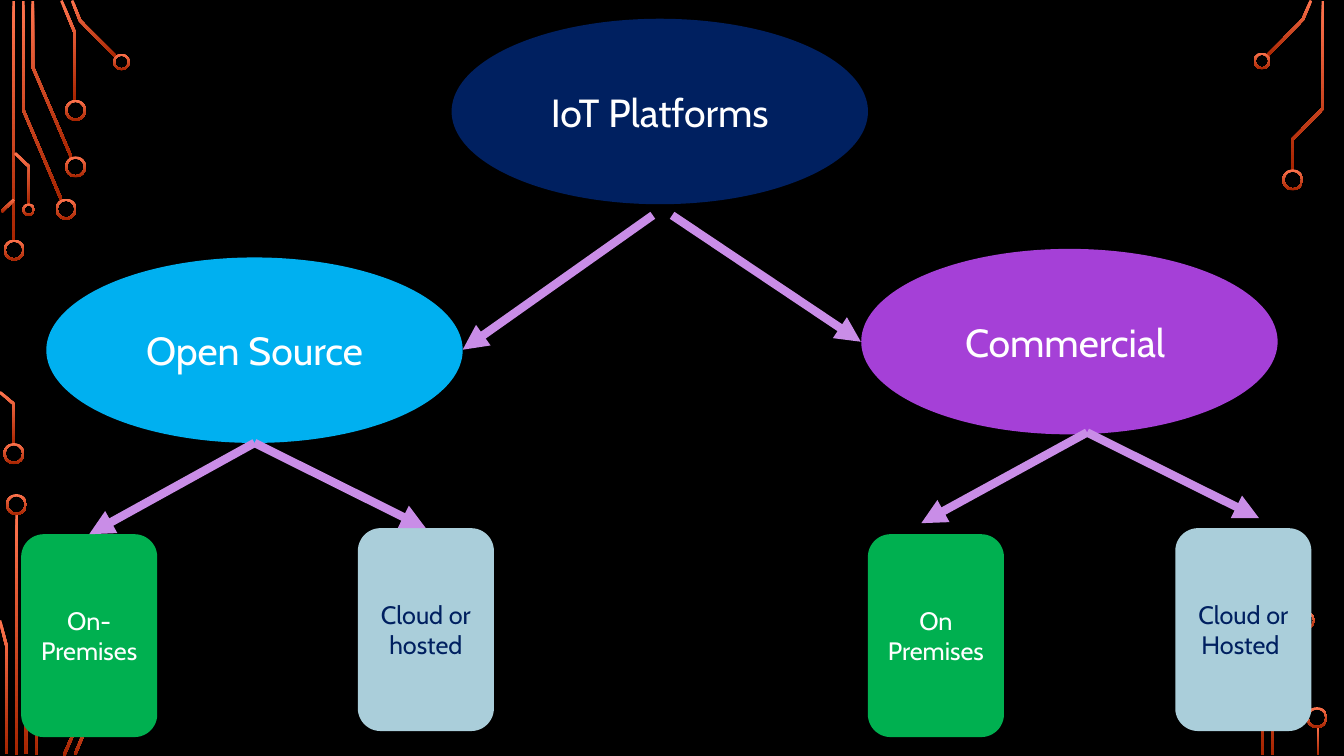
from math import hypot

from lxml.etree import SubElement
from pptx import Presentation
from pptx.dml.color import RGBColor
from pptx.enum.shapes import MSO_CONNECTOR, MSO_SHAPE
from pptx.enum.text import MSO_ANCHOR, PP_ALIGN
from pptx.oxml.ns import qn
from pptx.util import Pt

SLIDE_BOX = (0, 0, 960, 540)
OVAL_SIZE = (297.4, 132.5)
LEAF_SIZE = (97.2, 144.9)
TRACE_WIDTH = 1.9

OVAL = {"kind": MSO_SHAPE.OVAL, "size": 28, "ink": "FFFFFF"}
GREEN_LEAF = {"kind": MSO_SHAPE.ROUNDED_RECTANGLE, "size": 18, "ink": "FFFFFF", "fill": "00B050"}
PALE_LEAF = {"kind": MSO_SHAPE.ROUNDED_RECTANGLE, "size": 18, "ink": "002060", "fill": "AACEDA"}

TRACES = [
    [(9.7, 0.7), (9.7, 172.8)],
    [(16.6, 0.7), (16.6, 78.5), (43.9, 142.9)],
    [(23.4, 0.7), (23.4, 47.9), (51.1, 112.7)],
    [(43.9, 0.4), (53.6, 23.8), (53.6, 72)],
    [(51.5, 0.4), (57.2, 14.8), (83.2, 41)],
    [(1.1, 151.2), (10.1, 142.6)],
    [(0, 280.1), (10.1, 288.7), (10.1, 317.5)],
    [(10.8, 109.4), (20.9, 119.2), (20.9, 146.2)],
    [(11.9, 367.2), (11.9, 539.3)],
    [(18.4, 538.6), (18.4, 461.2), (45.7, 397.1)],
    [(0, 443.2), (4.7, 461.5), (4.7, 538.6)],
    [(25.6, 539.3), (25.6, 491.4), (52.9, 427.3)],
    [(45.7, 539.6), (55.8, 516.2), (55.8, 468)],
    [(53.6, 538.9), (59.4, 524.9), (85, 499)],
    [(905, 40), (930.6, 14), (936.4, 0.4)],
    [(909, 539.3), (909, 499.3), (931, 448.9)],
    [(923, 121.7), (923, 99.7), (945, 77.4), (945, 0.7)],
    [(901.8, 539.3), (901.8, 441.7), (924.1, 420.1), (924.1, 397.4)],
    [(941.4, 519.1), (941.4, 539.3)],
]
RINGS = [
    (10.1, 178.6, 15), (9.9, 324, 15), (47.2, 149.4, 15), (54, 119.2, 15),
    (54, 78.8, 15), (86.8, 44.3, 12), (20.5, 149.8, 9), (11.7, 360.4, 15),
    (901.4, 43.6, 12), (923.4, 128.5, 15), (933.5, 443.2, 12), (940.7, 512.6, 15),
]


def color(value):
    return RGBColor.from_string(value)


def paint_copper(shape):
    shape.shadow.inherit = False
    shape.line.fill.background()
    shape.fill.gradient()
    shape.fill.gradient_angle = 270
    for stop, value in zip(shape.fill.gradient_stops, ("FF744E", "A62400")):
        stop.color.rgb = color(value)


def ribbon_outline(points):
    normals = []
    for (x1, y1), (x2, y2) in zip(points, points[1:]):
        length = hypot(x2 - x1, y2 - y1)
        normals.append(((y1 - y2) / length, (x2 - x1) / length))
    left, right = [], []
    for (x, y), before, after in zip(points, normals[:1] + normals, normals + normals[-1:]):
        scale = TRACE_WIDTH / 2 / (1 + before[0] * after[0] + before[1] * after[1])
        dx, dy = (before[0] + after[0]) * scale, (before[1] + after[1]) * scale
        left.append((x + dx, y + dy))
        right.append((x - dx, y - dy))
    return left + right[::-1]


def add_circuit(page, box):
    left, top = box[:2]
    for trace in TRACES:
        outline = [(Pt(left + x), Pt(top + y)) for x, y in ribbon_outline(trace)]
        builder = page.shapes.build_freeform(*outline[0])
        builder.add_line_segments(outline[1:], close=True)
        paint_copper(builder.convert_to_shape())
    for x, y, size in RINGS:
        ring = page.shapes.add_shape(
            MSO_SHAPE.DONUT, Pt(left + x - size / 2), Pt(top + y - size / 2), Pt(size), Pt(size))
        ring.adjustments[0] = 1.5 / size
        paint_copper(ring)


def add_node(page, box, text, style):
    node = page.shapes.add_shape(style["kind"], *map(Pt, box))
    node.shadow.inherit = False
    node.line.fill.background()
    node.fill.solid()
    node.fill.fore_color.rgb = color(style["fill"])
    frame = node.text_frame
    frame.word_wrap = True
    frame.vertical_anchor = MSO_ANCHOR.MIDDLE
    para = frame.paragraphs[0]
    para.alignment = PP_ALIGN.CENTER
    span = para.add_run()
    span.text = text
    for name, value in {"name": "Cabin", "size": Pt(style["size"])}.items():
        setattr(span.font, name, value)
    span.font.color.rgb = color(style["ink"])
    return node


def add_arrow(page, start, end, target=None):
    arrow = page.shapes.add_connector(MSO_CONNECTOR.STRAIGHT, *map(Pt, start + end))
    if target is not None:
        arrow.end_connect(target, 0)
    arrow.line.width = Pt(6)
    arrow.line.color.rgb = color("C98DE7")
    SubElement(arrow.line._get_or_add_ln(), qn("a:tailEnd"), type="triangle")
    SubElement(arrow._element.spPr, qn("a:effectLst"))


def add_root(page, box):
    left, top, width, height = box
    add_node(page, box, "IoT Platforms", OVAL | {"fill": "002060"})
    arrow_top = top + height + 7.9
    middle = left + width / 2
    add_arrow(page, (middle - 5, arrow_top), (330.5, 249.8))
    add_arrow(page, (middle + 8.8, arrow_top), (614.9, 244.1))


def add_branch(page, box, title, fill, leaves, fork, joined, tips=()):
    left, top = box[:2]
    add_node(page, box, title, OVAL | {"fill": fill})
    nodes = [
        add_node(page, (left + x, top + y, *LEAF_SIZE), text, style)
        for x, y, text, style in leaves
    ]
    start = (left + fork[0], top + fork[1])
    for node, (x, y) in zip(nodes, tips):
        add_arrow(page, start, (left + x, top + y), node if joined else None)


def build_platform_slide(deck):
    page = deck.slides.add_slide(deck.slide_layouts[6])
    page.background.fill.solid()
    page.background.fill.fore_color.rgb = color("000000")
    add_circuit(page, SLIDE_BOX)
    add_root(page, (322.6, 13.4, *OVAL_SIZE))
    add_branch(
        page, (33.1, 183.9, *OVAL_SIZE), "Open Source", "00B0F0",
        [(-18, 197.7, "On-Premises", GREEN_LEAF), (222.5, 193.4, "Cloud or hosted", PALE_LEAF)],
        fork=(148.7, 132.5), joined=True, tips=[(30.6, 197.7), (271.1, 193.4)])
    add_branch(
        page, (615.2, 177.8, *OVAL_SIZE), "Commercial ", "A540D7",
        [(4.7, 203.8, "On Premises", GREEN_LEAF), (224.3, 199.5, "Cloud or Hosted ", PALE_LEAF)],
        fork=(161.3, 131.1), joined=False, tips=[(42.9, 195.9), (284.1, 192.3)])


def main():
    deck = Presentation()
    deck.slide_width, deck.slide_height = map(Pt, SLIDE_BOX[2:])
    build_platform_slide(deck)
    deck.save("out.pptx")


if __name__ == "__main__":
    main()
